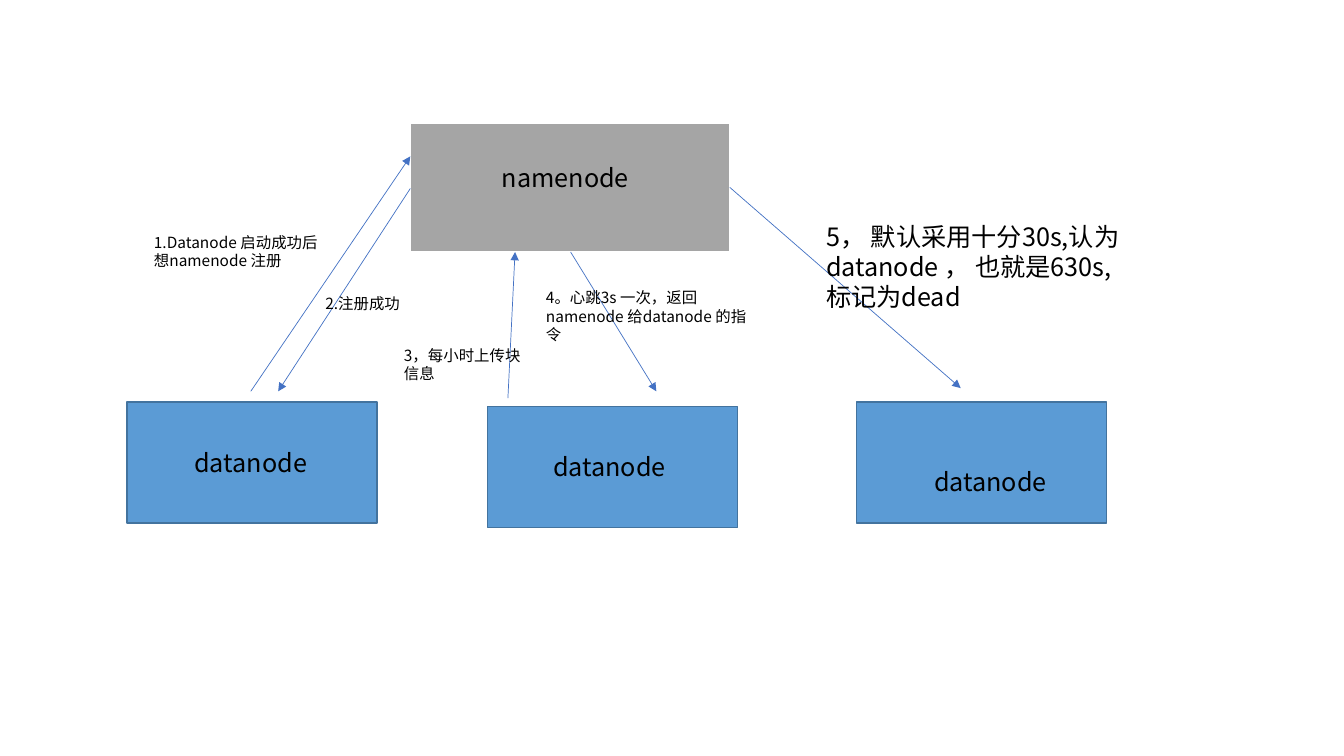
from lxml.etree import SubElement
from pptx import Presentation
from pptx.dml.color import RGBColor
from pptx.enum.shapes import MSO_CONNECTOR as Connector, MSO_SHAPE as Shape
from pptx.oxml.ns import qn
from pptx.util import Cm, Pt

FONT = "Noto Sans CJK SC"
COLORS = {
    "namenode": "A5A5A5",
    "namenode_edge": "FFFFFF",
    "datanode": "5B9BD5",
    "datanode_edge": "43739E",
    "arrow": "4472C4",
    "text": "000000",
}
LABEL_SIZE, NOTE_SIZE = 18, 11

# left, top of the box, then left, top of its label
DATANODES = [
    (3.2, 10.13, 4.65, 11.15),
    (12.29, 10.24, 13.69, 11.25),
    (21.59, 10.13, 23.29, 11.63),
]

# arrow start, arrow end, note left, top, width, height, size, wording
MESSAGES = [
    ((6.32, 9.86), (10.34, 3.94), (3.63, 5.74, 4.65, 1.19), NOTE_SIZE,
     "1.Datanode 启动成功后想namenode 注册"),
    ((10.34, 4.75), (7.01, 9.86), (7.95, 7.29, 4.01, 0.74), NOTE_SIZE,
     "2.注册成功"),
    ((12.8, 10.03), (12.98, 6.35), (9.93, 8.59, 3.53, 1.19), NOTE_SIZE,
     "3，每小时上传块信息"),
    ((14.38, 6.35), (16.54, 9.86), (13.51, 7.14, 5.79, 1.19), NOTE_SIZE,
     "4。心跳3s 一次，返回namenode 给datanode 的指令"),
    ((18.39, 4.72), (24.21, 9.78), (20.57, 5.44, 8.38, 2.57), LABEL_SIZE,
     "5， 默认采用十分30s,认为datanode ， 也就是630s, 标记为dead"),
]


def color(name):
    return RGBColor.from_string(COLORS[name])


def add_node(slide, bounds, kind, edge_width):
    node = slide.shapes.add_shape(Shape.RECTANGLE, *map(Cm, bounds))
    node.shadow.inherit = False
    node.fill.solid()
    node.fill.fore_color.rgb = color(kind)
    node.line.color.rgb = color(f"{kind}_edge")
    node.line.width = Pt(edge_width)


def add_text(slide, bounds, wording, size):
    frame = slide.shapes.add_textbox(*map(Cm, bounds)).text_frame
    frame.word_wrap = True
    run = frame.paragraphs[0].add_run()
    run.text = wording
    run.font.size = Pt(size)
    run.font.name = FONT
    run.font.color.rgb = color("text")
    SubElement(run.font._element, qn("a:ea"), typeface=FONT)


def add_arrow(slide, start, end):
    arrow = slide.shapes.add_connector(Connector.STRAIGHT, *map(Cm, start + end))
    arrow.line.color.rgb = color("arrow")
    arrow.line.width = Pt(0.5)
    SubElement(arrow.line._get_or_add_ln(), qn("a:tailEnd"), type="triangle")
    SubElement(arrow._element.spPr, qn("a:effectLst"))


def main():
    deck = Presentation()
    deck.slide_width, deck.slide_height = Cm(33.87), Cm(19.05)
    slide = deck.slides.add_slide(deck.slide_layouts[6])

    add_node(slide, (10.34, 3.1, 8.05, 3.25), "namenode", 1.5)
    add_text(slide, (12.4, 3.96, 4.78, 1.02), "namenode", LABEL_SIZE)
    for left, top, label_left, label_top in DATANODES:
        add_node(slide, (left, top, 6.3, 3.05), "datanode", 1)
        add_text(slide, (label_left, label_top, 3.4, 1.02), "datanode", LABEL_SIZE)
    for start, end, note_bounds, size, wording in MESSAGES:
        add_arrow(slide, start, end)
        add_text(slide, note_bounds, wording, size)

    deck.save("out.pptx")


if __name__ == "__main__":
    main()
